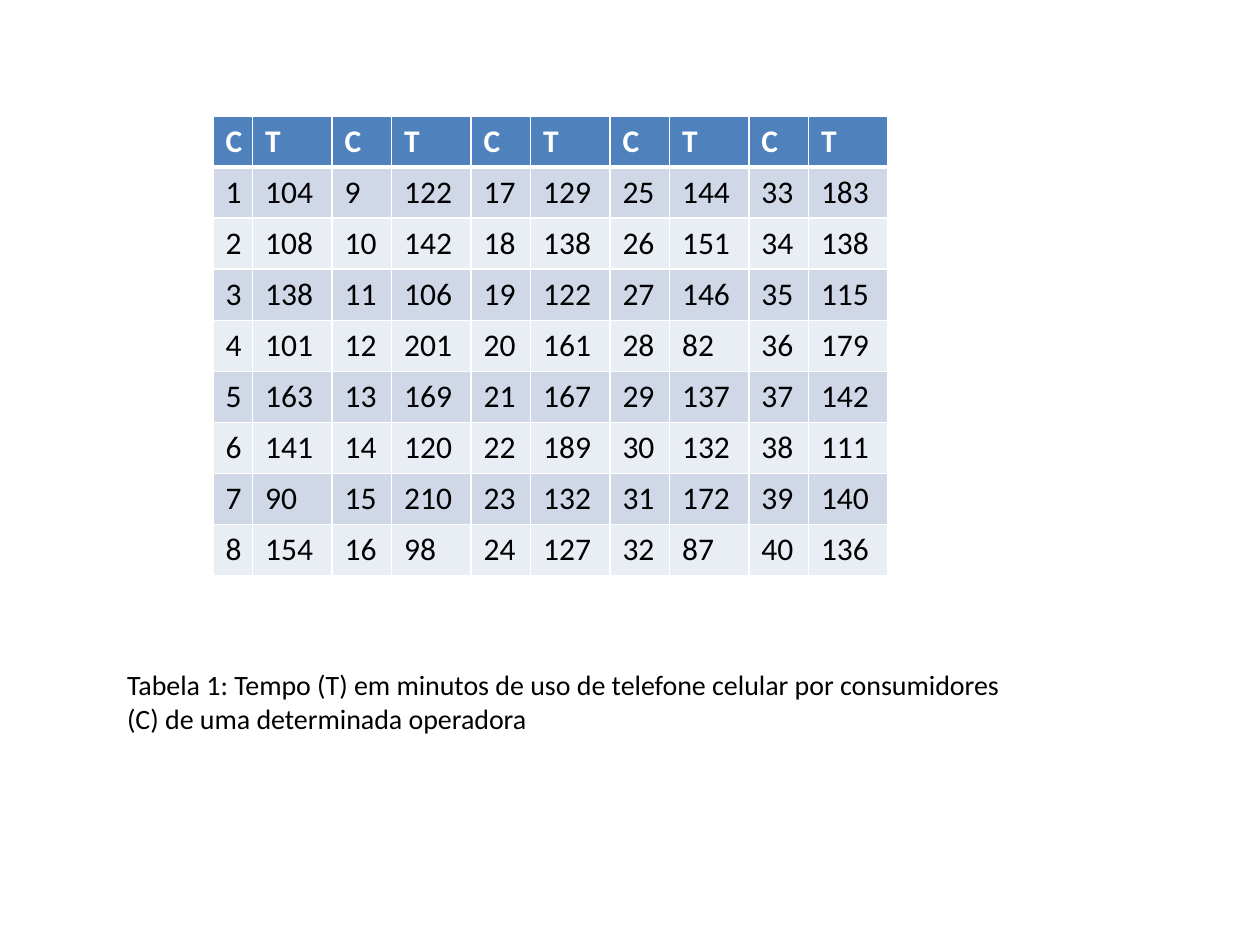
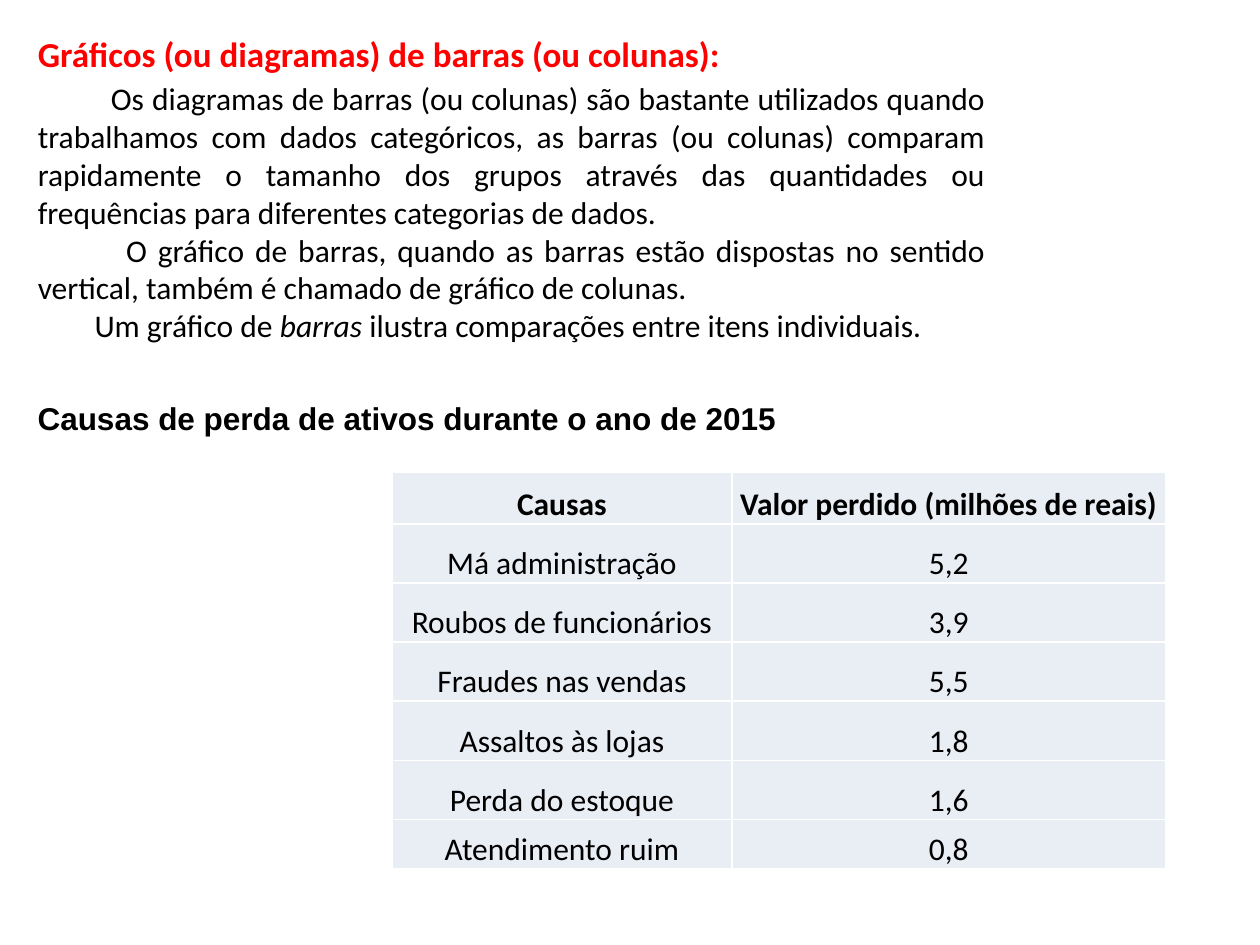
from dataclasses import dataclass
from typing import NamedTuple

import pptx
import pptx.dml.color
import pptx.enum.text
import pptx.oxml
import pptx.oxml.ns
import pptx.util

ALIGN = pptx.enum.text.PP_ALIGN
ANCHOR = pptx.enum.text.MSO_ANCHOR
BLACK, WHITE, RED = "000000", "FFFFFF", "FF0000"
BLUE, BAND, PALE = "4F81BD", "D0D8E8", "E9EDF4"
WIDTH, HEIGHT = pptx.util.Inches(10), pptx.util.Inches(7.5)
CLIENTS_PER_BLOCK = 8


class Box(NamedTuple):
    x: float
    y: float
    w: float
    h: float


@dataclass(frozen=True)
class Style:
    size: float = 18
    color: str = BLACK
    bold: bool = False
    italic: bool = False
    font: str = "Calibri"


@dataclass(frozen=True)
class Para:
    runs: tuple[tuple[str, Style], ...]
    align: ALIGN = ALIGN.LEFT
    indent: float = 0


@dataclass(frozen=True)
class TableLook:
    header_fill: str
    band_fills: tuple[str, str]
    header_style: Style
    header_line: float = 1
    align: ALIGN = ALIGN.LEFT
    compact: bool = False


PLAIN = Style()
ITALIC = Style(italic=True)
BOLD = Style(bold=True)

TIMES = (
    104, 108, 138, 101, 163, 141, 90, 154,
    122, 142, 106, 201, 169, 120, 210, 98,
    129, 138, 122, 161, 167, 189, 132, 127,
    144, 151, 146, 82, 137, 132, 172, 87,
    183, 138, 115, 179, 142, 111, 140, 136,
)
LOSSES = [
    ("Causas", "Valor perdido (milhões de reais)"),
    ("Má administração", "5,2"),
    ("Roubos de funcionários", "3,9"),
    ("Fraudes nas vendas", "5,5"),
    ("Assaltos às lojas", "1,8"),
    ("Perda do estoque", "1,6"),
    ("Atendimento ruim", "0,8"),
]
CAPTION = (
    "Tabela 1: Tempo (T) em minutos de uso de telefone celular por consumidores",
    "(C) de uma determinada operadora",
)
EXPLANATION = [
    Para(((
        "Os diagramas de barras (ou colunas) são bastante utilizados quando "
        "trabalhamos com dados categóricos, as barras (ou colunas) comparam "
        "rapidamente o tamanho dos grupos através das quantidades ou "
        "frequências para diferentes categorias de dados.", PLAIN),),
        ALIGN.JUSTIFY, 5.8),
    Para(((
        "O gráfico de barras, quando as barras estão dispostas no sentido "
        "vertical, também é chamado de gráfico de colunas.", PLAIN),),
        ALIGN.JUSTIFY, 7),
    Para((
        ("Um gráfico de ", PLAIN),
        ("barras", ITALIC),
        (" ilustra comparações entre itens individuais.", PLAIN)),
        ALIGN.JUSTIFY, 4.5),
]


def across(percent: float) -> int:
    return round(WIDTH * percent / 100)


def down(percent: float) -> int:
    return round(HEIGHT * percent / 100)


def place(box: Box) -> tuple[int, int, int, int]:
    return across(box.x), down(box.y), across(box.w), down(box.h)


def rgb(color: str) -> pptx.dml.color.RGBColor:
    return pptx.dml.color.RGBColor.from_string(color)


def add_run(p, text: str, style: Style) -> None:
    r = p.add_run()
    r.text = text
    r.font.name = style.font
    r.font.size = pptx.util.Pt(style.size)
    r.font.bold = style.bold
    r.font.italic = style.italic
    r.font.color.rgb = rgb(style.color)


def write(sp, paras: list[Para], wrap: bool = True) -> None:
    tf = sp.text_frame
    tf.word_wrap = wrap
    tf.auto_size = pptx.enum.text.MSO_AUTO_SIZE.NONE
    tf.vertical_anchor = ANCHOR.TOP
    for i, para in enumerate(paras):
        p = tf.paragraphs[0] if i == 0 else tf.add_paragraph()
        p.alignment = para.align
        p.space_before = pptx.util.Pt(0)
        pPr = p._p.get_or_add_pPr()
        pPr.set("marL", "0")
        pPr.set("indent", str(across(para.indent)))
        pPr.append(pptx.oxml.parse_xml(
            f'<a:buNone {pptx.oxml.ns.nsdecls("a")}/>'))
        for text, style in para.runs:
            add_run(p, text, style)


def fill_placeholder(sp, box: Box, paras: list[Para]) -> None:
    sp.left, sp.top, sp.width, sp.height = place(box)
    write(sp, paras)


def add_text(slide, box: Box, paras: list[Para], wrap: bool = True) -> None:
    write(slide.shapes.add_textbox(*place(box)), paras, wrap)


def set_borders(cell, top: float, bottom: float) -> None:
    tcPr = cell._tc.get_or_add_tcPr()
    widths = {"lnL": 1, "lnR": 1, "lnT": top, "lnB": bottom}
    for i, (side, width) in enumerate(widths.items()):
        tcPr.insert(i, pptx.oxml.parse_xml(
            f'<a:{side} {pptx.oxml.ns.nsdecls("a")} w="{pptx.util.Pt(width)}">'
            f'<a:solidFill><a:srgbClr val="{WHITE}"/></a:solidFill></a:{side}>'))


def add_table(slide, x: float, y: float, cols: list[float], rows: list[float],
              data: list[tuple[str, ...]], look: TableLook) -> None:
    box = Box(x, y, sum(cols), sum(rows))
    table = slide.shapes.add_table(len(rows), len(cols), *place(box)).table
    for col, width in zip(table.columns, cols):
        col.width = across(width)
    for i, (row, height) in enumerate(zip(table.rows, rows)):
        row.height = down(height)
        fill = look.band_fills[(i - 1) % 2] if i else look.header_fill
        style = PLAIN if i else look.header_style
        for cell, text in zip(row.cells, data[i]):
            cell.fill.solid()
            cell.fill.fore_color.rgb = rgb(fill)
            set_borders(cell, look.header_line if i == 1 else 1,
                        look.header_line if i == 0 else 1)
            p = cell.text_frame.paragraphs[0]
            p.alignment = look.align
            if look.compact:
                cell.vertical_anchor = ANCHOR.BOTTOM
                cell.margin_left = cell.margin_right = across(0.5)
                cell.margin_top = cell.margin_bottom = 0
                p.line_spacing = 1.15
                p.space_after = pptx.util.Pt(10)
            add_run(p, text, style)


def usage_rows() -> list[tuple[str, ...]]:
    starts = range(0, len(TIMES), CLIENTS_PER_BLOCK)
    rows = [("C", "T") * len(starts)]
    for i in range(CLIENTS_PER_BLOCK):
        rows.append(tuple(str(v) for s in starts
                          for v in (s + i + 1, TIMES[s + i])))
    return rows


def build_usage_slide(prs) -> None:
    slide = prs.slides.add_slide(prs.slide_layouts[6])
    look = TableLook(BLUE, (BAND, PALE), Style(color=WHITE, bold=True), 3)
    add_table(slide, 16.9, 12.27, [3.15, 6.3] + [4.73, 6.3] * 4,
              [5.33] * (CLIENTS_PER_BLOCK + 1), usage_rows(), look)
    add_text(slide, Box(9.1, 70, 72.2, 8.53),
             [Para(((line, Style(16)),)) for line in CAPTION], wrap=False)


def build_bar_chart_slide(prs) -> None:
    slide = prs.slides.add_slide(prs.slide_layouts[1])
    title, body = slide.placeholders
    heading = "Gráficos (ou diagramas) de barras (ou colunas):"
    fill_placeholder(title, Box(2, 2.8, 77.2, 4.93),
                     [Para(((heading, Style(20, RED, True)),))])
    title.text_frame.margin_bottom = 0
    fill_placeholder(body, Box(2, 7.73, 77.2, 29.6), EXPLANATION)
    add_text(slide, Box(2, 41.6, 64.6, 5.33), [Para(((
        "Causas de perda de ativos durante o ano de 2015",
        Style(bold=True, font="Arial")),))])
    look = TableLook(PALE, (PALE, PALE), BOLD, align=ALIGN.CENTER, compact=True)
    add_table(slide, 31.1, 50, [27, 34.4], [5.47, 6.2] + [6.27] * 4 + [5.2],
              LOSSES, look)


def main() -> None:
    prs = pptx.Presentation()
    prs.slide_width, prs.slide_height = WIDTH, HEIGHT
    build_usage_slide(prs)
    build_bar_chart_slide(prs)
    prs.save("out.pptx")


if __name__ == "__main__":
    main()
